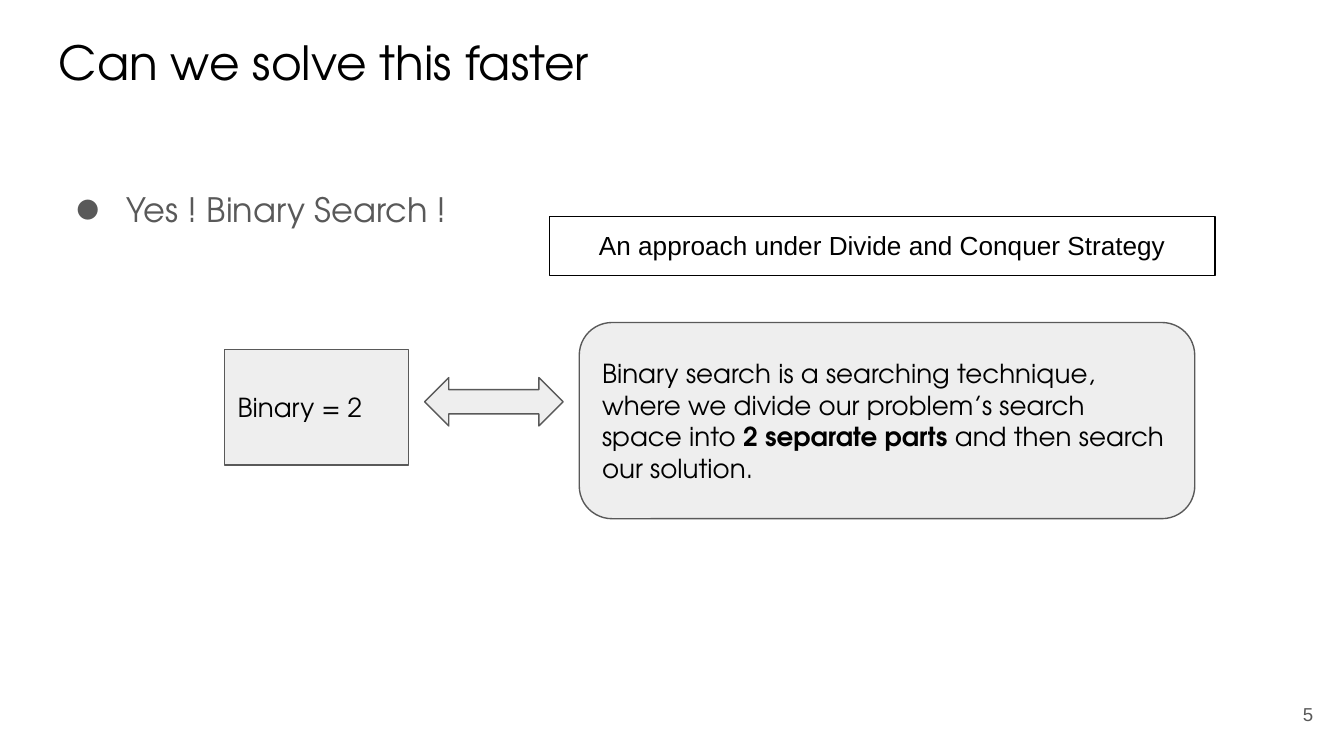
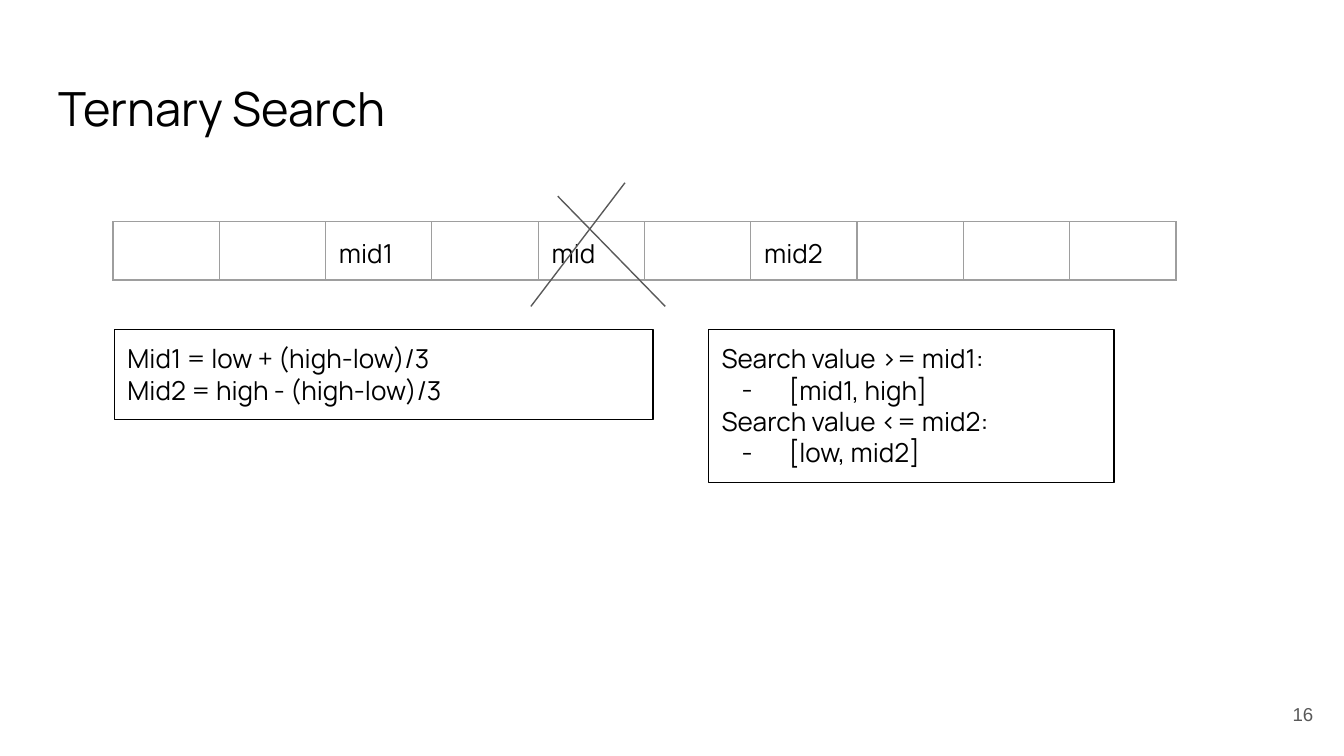
from lxml import etree
from pptx import Presentation
from pptx.dml.color import RGBColor
from pptx.enum.shapes import MSO_CONNECTOR, MSO_SHAPE
from pptx.enum.text import MSO_ANCHOR, PP_ALIGN
from pptx.oxml.ns import qn
from pptx.util import Inches, Pt

RECTANGLE, ROUNDED = MSO_SHAPE.RECTANGLE, MSO_SHAPE.ROUNDED_RECTANGLE
DOUBLE_ARROW = MSO_SHAPE.LEFT_RIGHT_ARROW
STRAIGHT = MSO_CONNECTOR.STRAIGHT
TOP, MIDDLE = MSO_ANCHOR.TOP, MSO_ANCHOR.MIDDLE
LEFT, CENTER, RIGHT = PP_ALIGN.LEFT, PP_ALIGN.CENTER, PP_ALIGN.RIGHT


class Theme:
    black = RGBColor(0x00, 0x00, 0x00)
    gray = RGBColor(0x59, 0x59, 0x59)
    pale = RGBColor(0xEE, 0xEE, 0xEE)
    grid = "9E9E9E"
    geometric, modern, plain = "TeX Gyre Adventor", "Manrope", "Arial"
    title, body, label, footer = Pt(25.2), Pt(18), Pt(14), Pt(10)
    line = Pt(0.75)
    inset = Inches(0.1)


def write(frame, lines, font, size, color=Theme.black, anchor=TOP, align=LEFT):
    """Fill a frame with one paragraph per line; **marks** enclose bold words."""
    frame.word_wrap = True
    frame.vertical_anchor = anchor
    frame.margin_left = frame.margin_right = Theme.inset
    frame.margin_top = frame.margin_bottom = Theme.inset
    for index, line in enumerate(lines):
        para = frame.paragraphs[0] if index == 0 else frame.add_paragraph()
        para.alignment = align
        para.font.name, para.font.size = font, size
        para.font.color.rgb = color
        for part, words in enumerate(line.split("**")):
            span = para.add_run()
            span.text = words
            if part % 2:
                span.font.bold = True


def add_bullet(para, mark, hanging, color):
    """Hang a bullet that takes the font and size of its paragraph."""
    props = para._p.get_or_add_pPr()
    props.set("marL", str(Inches(0.5)))
    props.set("indent", str(-Inches(hanging)))
    bullet_color = etree.Element(qn("a:buClr"))
    etree.SubElement(bullet_color, qn("a:srgbClr"), val=str(color))
    bullet_size = etree.Element(qn("a:buSzPts"), val=str(para.font.size.centipoints))
    bullet_font = etree.Element(qn("a:buFont"), typeface=para.font.name)
    bullet_mark = etree.Element(qn("a:buChar"), char=mark)
    for place, item in enumerate((bullet_color, bullet_size, bullet_font, bullet_mark)):
        props.insert(place, item)


deck = Presentation()
deck.slide_width, deck.slide_height = Inches(10), Inches(10 * 9 / 16)

# Titles and page numbers
pages = []
for title, title_top, title_font, number in [
    ("Can we solve this faster", 0.15, Theme.geometric, "5"),
    ("Ternary Search", 0.49, Theme.modern, "16"),
]:
    page = deck.slides.add_slide(deck.slide_layouts[6])
    heading = page.shapes.add_textbox(
        Inches(0.34), Inches(title_top), Inches(9.32), Inches(0.63))
    write(heading.text_frame, [title], title_font, Theme.title)
    footer = page.shapes.add_textbox(
        Inches(9.27), Inches(5.1), Inches(0.6), Inches(0.43))
    write(footer.text_frame, [number], Theme.plain, Theme.footer, Theme.gray,
          MIDDLE, RIGHT)
    pages.append(page)
binary_page, ternary_page = pages

# Binary search answer
answer = binary_page.shapes.add_textbox(
    Inches(0.34), Inches(1.26), Inches(9.32), Inches(3.74))
write(answer.text_frame, ["Yes ! Binary Search !"], Theme.geometric, Theme.body,
      Theme.gray)
answer_para = answer.text_frame.paragraphs[0]
add_bullet(answer_para, "●", 0.38, Theme.gray)
answer_para.line_spacing = 1.15

# Ternary search array
mid_labels = {2: "mid1", 4: "mid", 6: "mid2"}
array = ternary_page.shapes.add_table(
    1, 10, Inches(0.84), Inches(1.65), Inches(7.91), Inches(0.42)).table
array.first_row = array.horz_banding = False
for column, cell in enumerate(array.rows[0].cells):
    cell.fill.background()
    props = cell._tc.get_or_add_tcPr()
    for place, side in enumerate(("lnL", "lnR", "lnT", "lnB")):
        border = etree.Element(qn(f"a:{side}"), w=str(Theme.line))
        fill = etree.SubElement(border, qn("a:solidFill"))
        etree.SubElement(fill, qn("a:srgbClr"), val=Theme.grid)
        props.insert(place, border)
    if column in mid_labels:
        cell.margin_left = cell.margin_right = Theme.inset
        cell.margin_top = cell.margin_bottom = Theme.inset
        para = cell.text_frame.paragraphs[0]
        para.text = mid_labels[column]
        para.font.name, para.font.size = Theme.modern, Theme.label
        para.font.color.rgb = Theme.black

# Gray shapes are filled, outlined boxes are not
definition = ("Binary search is a searching technique, where we divide our "
              "problem’s search space into **2 separate parts** and then search "
              "our solution.")
formulas = ["Mid1 = low + (high-low)/3", "Mid2 = high - (high-low)/3"]
ranges = ["Search value >= mid1:", "[mid1, high]",
          "Search value <= mid2:", "[low, mid2]"]
for page, kind, bounds, filled, lines, font, align in [
    (binary_page, RECTANGLE, (1.67, 2.6, 1.37, 0.86), True,
     ["Binary = 2"], Theme.geometric, LEFT),
    (binary_page, ROUNDED, (4.31, 2.4, 4.58, 1.46), True,
     [definition], Theme.geometric, LEFT),
    (binary_page, DOUBLE_ARROW, (3.16, 2.81, 1.03, 0.36), True,
     [], Theme.geometric, LEFT),
    (binary_page, RECTANGLE, (4.09, 1.61, 4.95, 0.44), False,
     ["An approach under Divide and Conquer Strategy"], Theme.plain, CENTER),
    (ternary_page, RECTANGLE, (0.85, 2.45, 4.01, 0.67), False,
     formulas, Theme.modern, LEFT),
    (ternary_page, RECTANGLE, (5.27, 2.45, 3.02, 1.14), False,
     ranges, Theme.modern, LEFT),
]:
    box = page.shapes.add_shape(kind, *map(Inches, bounds))
    box.shadow.inherit = False
    box.line.width = Theme.line
    if filled:
        box.fill.solid()
        box.fill.fore_color.rgb = Theme.pale
        box.line.color.rgb = Theme.gray
    else:
        box.fill.background()
        box.line.color.rgb = Theme.black
    write(box.text_frame, lines, font, Theme.label,
          anchor=MIDDLE if filled else TOP, align=align)
    if lines is ranges:
        for para in box.text_frame.paragraphs[1::2]:
            add_bullet(para, "-", 0.35, Theme.black)

# Cross over the single midpoint
for ends in [(4.15, 1.46, 4.95, 2.28), (4.65, 1.36, 3.95, 2.28)]:
    stroke = ternary_page.shapes.add_connector(STRAIGHT, *map(Inches, ends))
    stroke.line.color.rgb = Theme.gray
    stroke.line.width = Theme.line
    etree.SubElement(stroke._element.spPr, qn("a:effectLst"))

deck.save("out.pptx")
